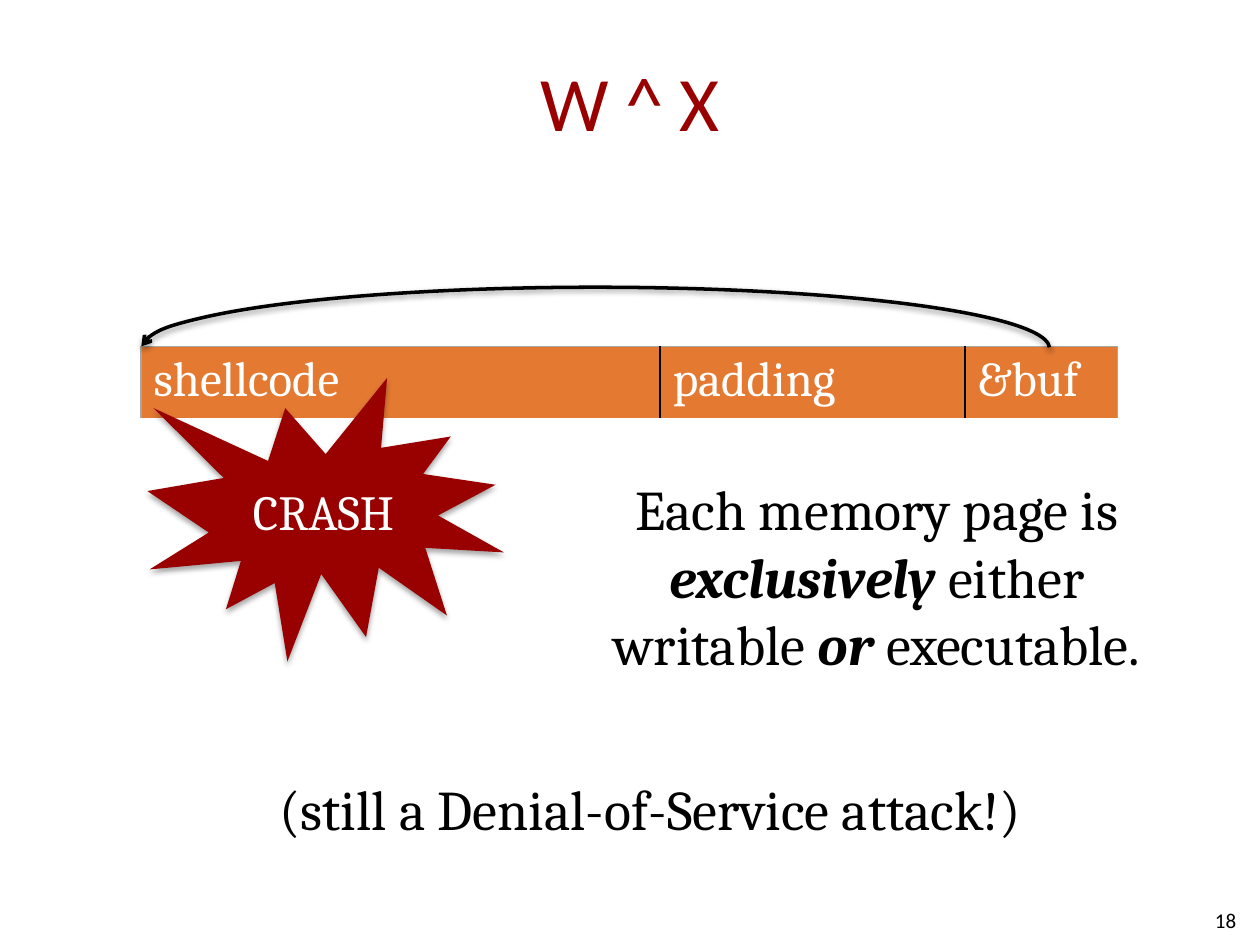
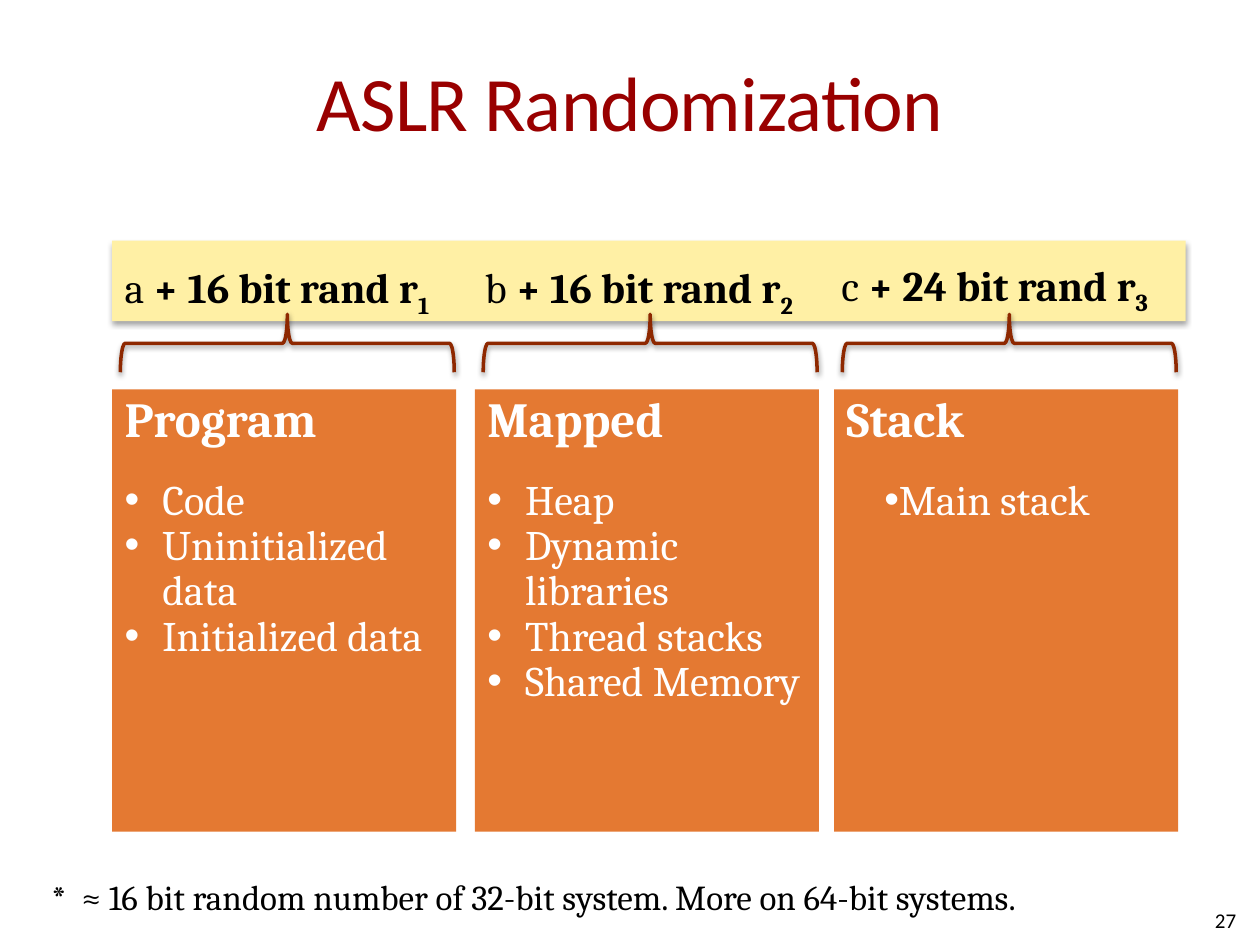
from lxml import etree
from pptx import Presentation
from pptx.dml.color import RGBColor
from pptx.enum.shapes import MSO_SHAPE
from pptx.enum.text import MSO_ANCHOR, MSO_AUTO_SIZE, PP_ALIGN
from pptx.oxml.ns import qn
from pptx.util import Inches, Pt

LEFT, CENTER, RIGHT = PP_ALIGN.LEFT, PP_ALIGN.CENTER, PP_ALIGN.RIGHT
TOP, MIDDLE = MSO_ANCHOR.TOP, MSO_ANCHOR.MIDDLE
GROW = MSO_AUTO_SIZE.SHAPE_TO_FIT_TEXT
ARC, BURST = MSO_SHAPE.ARC, MSO_SHAPE.EXPLOSION1
BRACE, RECTANGLE = MSO_SHAPE.LEFT_BRACE, MSO_SHAPE.RECTANGLE

COLORS = {
    "red": "990000",
    "orange": "E47932",
    "yellow": "FFF0A5",
    "brown": "8E2800",
    "grey": "A6A6A6",
    "black": "000000",
    "white": "FFFFFF",
}
HEADING_FONT, BODY_FONT = "Calibri", "Cambria"


def color(name):
    return RGBColor.from_string(COLORS[name])


def add_span(para, text, size, ink="black", font=BODY_FONT, bold=False, italic=False):
    span = para.add_run()
    span.text = text
    span.font.size = Pt(size)
    span.font.name = font
    span.font.bold = bold
    span.font.italic = italic
    span.font.color.rgb = color(ink)
    return span


def add_text_box(page, box, align=LEFT, anchor=TOP, wrap=True):
    """Add an empty text box and return its frame and first paragraph."""
    frame = page.shapes.add_textbox(*map(Inches, box)).text_frame
    frame.word_wrap = wrap
    frame.vertical_anchor = anchor
    if not wrap:
        frame.auto_size = GROW
    para = frame.paragraphs[0]
    para.alignment = align
    return frame, para


def add_figure(page, kind, box, fill=None, line=None):
    figure = page.shapes.add_shape(kind, *map(Inches, box))
    figure.shadow.inherit = False
    if fill:
        figure.fill.solid()
        figure.fill.fore_color.rgb = color(fill)
    else:
        figure.fill.background()
    if line:
        figure.line.color.rgb = color(line)
        figure.line.width = Pt(2)
    else:
        figure.line.fill.background()
    return figure


def add_shadow(figure, opacity, distance):
    effects = figure._element.spPr.find(qn("a:effectLst"))
    shadow = etree.SubElement(
        effects, qn("a:outerShdw"), blurRad=str(Pt(3.1)), dist=str(Pt(distance)),
        dir="5400000", rotWithShape="0")
    tint = etree.SubElement(shadow, qn("a:srgbClr"), val=COLORS["black"])
    etree.SubElement(tint, qn("a:alpha"), val=str(opacity * 1000))


def add_page(deck, title, number):
    """Add a blank page with the shared title and page number."""
    page = deck.slides.add_slide(deck.slide_layouts[6])
    frame, para = add_text_box(page, (0.5, 0.17, 9, 1.25), CENTER, MIDDLE)
    frame.margin_left = frame.margin_right = 0
    span = add_span(para, title, 44, "red", HEADING_FONT)
    span.font._element.set("spc", "-50")
    _, para = add_text_box(page, (7.58, 7.1, 2.33, 0.4), RIGHT, MIDDLE)
    add_span(para, str(number), 12, font=HEADING_FONT)
    return page


def set_border(cell, side, ink):
    """Draw one cell border, or clear it when ink is None."""
    line = etree.SubElement(cell._tc.get_or_add_tcPr(), qn(f"a:ln{side}"), w=str(Pt(1)))
    if ink:
        fill = etree.SubElement(line, qn("a:solidFill"))
        etree.SubElement(fill, qn("a:srgbClr"), val=COLORS[ink])
    else:
        etree.SubElement(line, qn("a:noFill"))


def add_buffer(page, box):
    parts = [("shellcode", 4.12), ("padding", 2.42), ("&buf", 1.21)]
    table = page.shapes.add_table(1, len(parts), *map(Inches, box)).table
    last = len(parts) - 1
    for index, (name, width) in enumerate(parts):
        table.columns[index].width = Inches(width)
        cell = table.cell(0, index)
        set_border(cell, "L", "black" if index else "grey")
        set_border(cell, "R", "black" if index < last else "grey")
        set_border(cell, "T", "grey")
        set_border(cell, "B", None)
        cell.fill.solid()
        cell.fill.fore_color.rgb = color("orange")
        add_span(cell.text_frame.paragraphs[0], name, 28, "white")


def add_jump_arrow(page, box):
    """Draw the upper half of an ellipse, ending in an arrow on the left."""
    arc = add_figure(page, ARC, box, line="black")
    arc.adjustments[0], arc.adjustments[1] = 0.078, 107.845
    properties = arc._element.spPr
    properties.find(qn("a:xfrm")).set("flipV", "1")
    etree.SubElement(properties.find(qn("a:ln")), qn("a:tailEnd"), type="arrow")
    add_shadow(arc, 38, 1.6)


def add_crash(page, box):
    burst = add_figure(page, BURST, box, fill="red")
    add_shadow(burst, 35, 1.8)
    burst.text_frame.vertical_anchor = MIDDLE
    para = burst.text_frame.paragraphs[0]
    para.alignment = CENTER
    add_span(para, "CRASH", 28, "white")


def add_rule(page, box):
    lines = [
        [("Each memory page is", False)],
        [("exclusively", True), (" either", False)],
        [("writable ", False), ("or", True), (" executable.", False)],
    ]
    _, para = add_text_box(page, box, CENTER)
    for index, line in enumerate(lines):
        if index:
            para.add_line_break()
        for text, strong in line:
            add_span(para, text, 32, bold=strong, italic=strong)


def build_write_xor_execute(deck):
    page = add_page(deck, "W ^ X", 18)
    add_rule(page, (4.17, 3.72, 5.58, 2.78))
    add_buffer(page, (1.12, 2.75, 7.75, 0.4))
    add_jump_arrow(page, (1.12, 2.28, 7.21, 0.97))
    _, para = add_text_box(page, (1.8, 6.1, 6.41, 0.64), RIGHT, wrap=False)
    add_span(para, "(still a Denial-of-Service attack!)", 32)
    add_crash(page, (1.17, 3, 2.83, 2.25))


def add_bullet(para, margin, indent):
    properties = para._p.get_or_add_pPr()
    properties.set("marL", str(Inches(margin)))
    properties.set("indent", str(Inches(indent)))
    etree.SubElement(properties, qn("a:buFont"), typeface="Arial")
    etree.SubElement(properties, qn("a:buChar"), char="•")


def add_offset_label(page, box, base, bits, index):
    _, para = add_text_box(page, box, wrap=False)
    add_span(para, f"{base} ", 24)
    add_span(para, f"+ {bits} bit rand r", 24, bold=True)
    subscript = add_span(para, str(index), 24, bold=True)
    subscript.font._element.set("baseline", "-25000")


def add_region(page, box, name, items, margin, indent):
    """Add a memory region with its contents and the brace above it."""
    left, top = box[:2]
    brace = add_figure(page, BRACE, (left + 1.16, 1.4, 0.46, 2.65), line="brown")
    brace.rotation = 90
    add_shadow(brace, 38, 1.6)
    frame = add_figure(page, RECTANGLE, box, fill="orange").text_frame
    frame.vertical_anchor = TOP
    para = frame.paragraphs[0]
    para.alignment = LEFT
    para.line_spacing = 0.9
    add_span(para, name, 28, "white", bold=True)
    for position, item in enumerate(items):
        para = frame.add_paragraph()
        para.alignment = LEFT
        para.line_spacing = 0.9 if position else 1.5
        add_bullet(para, margin, indent)
        add_span(para, item, 24, "white")


def add_footnote(page, box):
    _, para = add_text_box(page, box)
    stops = etree.SubElement(para._p.get_or_add_pPr(), qn("a:tabLst"))
    etree.SubElement(stops, qn("a:tab"), pos=str(Inches(0.24)), algn="l")
    add_span(para, "*\t≈ 16 bit random number of 32-bit system. More on 64-bit systems.", 20)


def build_randomization(deck):
    page = add_page(deck, "ASLR Randomization", 27)
    band = add_figure(page, RECTANGLE, (0.89, 1.91, 8.52, 0.64), fill="yellow")
    add_shadow(band, 35, 1.8)

    labels = [
        ((0.89, 2.03, 2.86, 0.5), "a", 16),
        ((3.75, 2.03, 2.88, 0.5), "b", 16),
        ((6.58, 2.01, 2.84, 0.5), "c", 24),
    ]
    for index, (box, base, bits) in enumerate(labels, 1):
        add_offset_label(page, box, base, bits, index)

    regions = [
        (0.89, "Program", ["Code", "Uninitialized data", "Initialized data"], 0.3, -0.3),
        (3.77, "Mapped",
         ["Heap", "Dynamic libraries", "Thread stacks", "Shared Memory"], 0.3, -0.3),
        (6.62, "Stack", ["Main stack"], 0, 0.3),
    ]
    for left, name, items, margin, indent in regions:
        add_region(page, (left, 3.09, 2.73, 3.51), name, items, margin, indent)
    add_footnote(page, (0.31, 6.9, 8.38, 0.44))


def main():
    deck = Presentation()
    deck.slide_width, deck.slide_height = Inches(10), Inches(7.5)
    build_write_xor_execute(deck)
    build_randomization(deck)
    deck.save("out.pptx")


if __name__ == "__main__":
    main()
